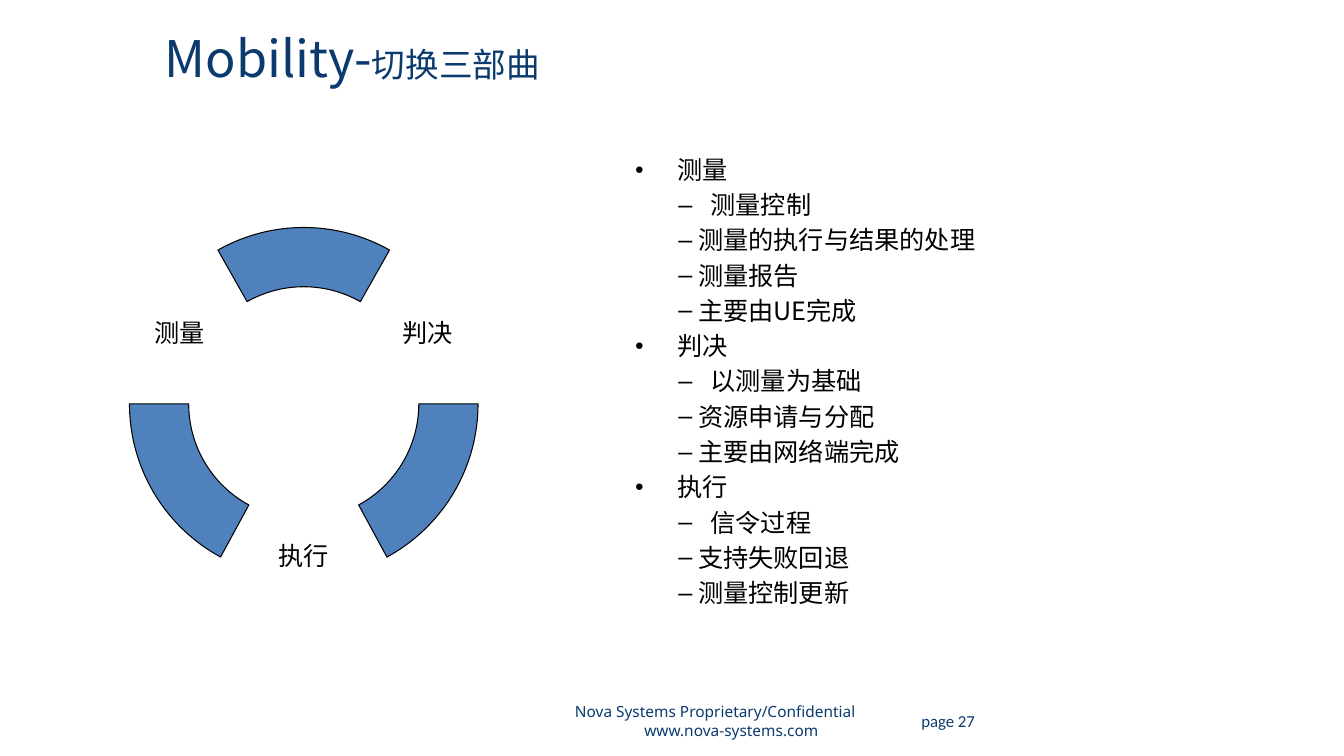
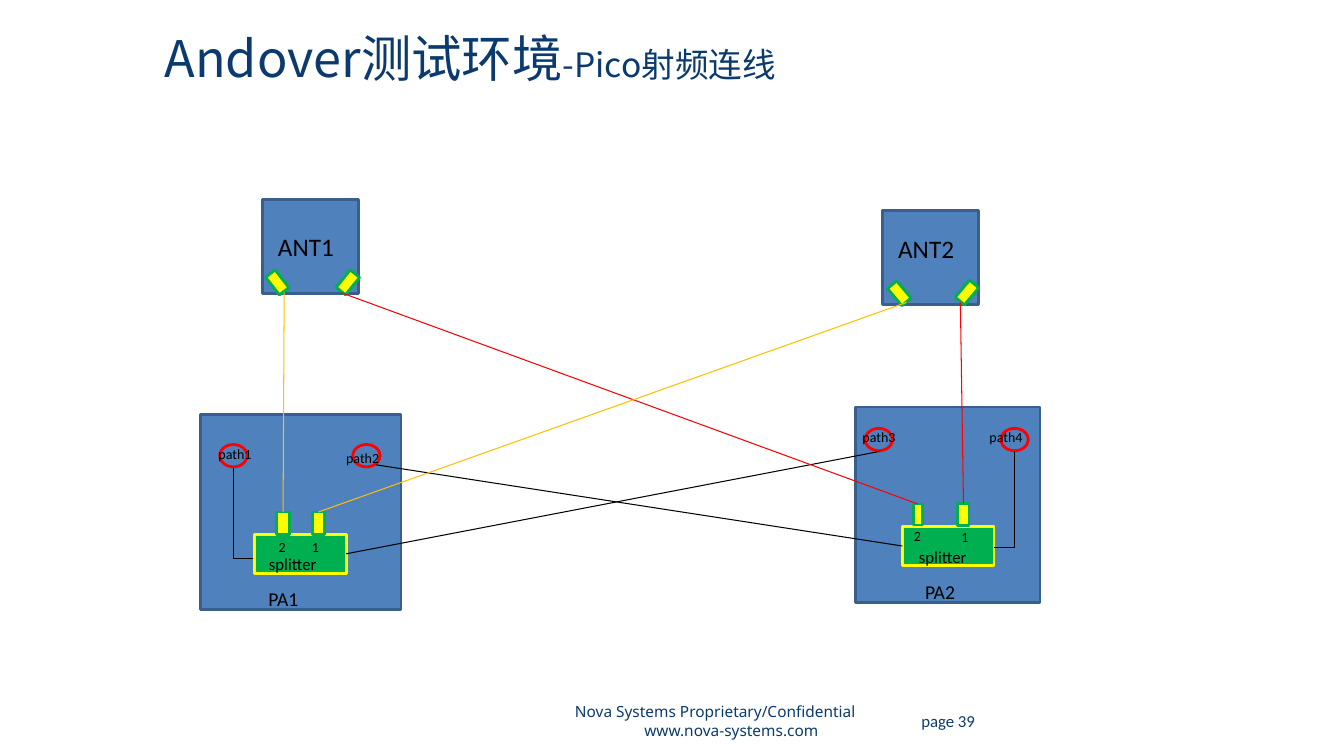
from lxml import etree
from pptx import Presentation
from pptx.dml.color import RGBColor
from pptx.enum import shapes, text
from pptx.oxml import ns
from pptx.util import Pt

NAVY, BLUE, EDGE, BLACK = "0A3A6E", "4F81BD", "3A5F8C", "000000"
RED, GREEN, YELLOW, ORANGE = "FF0000", "00B050", "FFFF00", "FFC000"
CJK_FONT = "Noto Sans CJK SC"
SHAPE, LINE = shapes.MSO_SHAPE, shapes.MSO_CONNECTOR
CENTER, LEFT = text.PP_ALIGN.CENTER, text.PP_ALIGN.LEFT
MIDDLE, TOP = text.MSO_ANCHOR.MIDDLE, text.MSO_ANCHOR.TOP


def add_text(page, bounds, paragraphs, font, color=BLACK, align=LEFT, anchor=TOP):
    """Add a text box; each paragraph is a list of (wording, size) spans."""
    box = page.shapes.add_textbox(*map(Pt, bounds))
    frame = box.text_frame
    frame.word_wrap = True
    frame.vertical_anchor = anchor
    for number, spans in enumerate(paragraphs):
        para = frame.add_paragraph() if number else frame.paragraphs[0]
        para.alignment = align
        for wording, size in spans:
            span = para.add_run()
            span.text = wording
            span.font.size = Pt(size)
            span.font.name = font
            span.font.color.rgb = RGBColor.from_string(color)
            east_asian = etree.SubElement(span._r.get_or_add_rPr(), ns.qn("a:ea"))
            east_asian.set("typeface", CJK_FONT)
    return frame


def paint(item, line_color, width, fill=None):
    """Colour a shape or a connector and take its shadow away."""
    item.line.color.rgb = RGBColor.from_string(line_color)
    item.line.width = Pt(width)
    if fill:
        item.shadow.inherit = False
        item.fill.solid()
        item.fill.fore_color.rgb = RGBColor.from_string(fill)
    else:
        etree.SubElement(item._element.spPr, ns.qn("a:effectLst"))


deck = Presentation()
deck.slide_width, deck.slide_height = Pt(960), Pt(540)

# Title and footer of every page
pages = []
for title, page_number in [
    ([("Mobility-", 36), ("切换三部曲", 24)], 27),
    ([("Andover测试环境", 36), ("-Pico射频连线", 24)], 39),
]:
    page = deck.slides.add_slide(deck.slide_layouts[6])
    add_text(page, (110.5, 1, 820, 80.5), [title], CJK_FONT, NAVY, anchor=MIDDLE)
    footer = add_text(
        page, (388, 500.5, 246, 29),
        [[("Nova Systems Proprietary/Confidential", 11)], [("www.nova-systems.com", 11)]],
        "Noto Sans", NAVY, CENTER, MIDDLE)
    footer.paragraphs[1]._p.get_or_add_pPr().set("marL", str(Pt(23)))
    add_text(page, (651, 500.5, 92, 29), [[(f"page {page_number}", 12)]],
             "Calibri", NAVY, anchor=MIDDLE)
    pages.append(page)
cycle_page, wiring_page = pages

# Cycle of three ring segments
center_x, radius = 217, 124.5
for start, end, center_y in [(240.5, 299.5, 287), (0, 61.5, 288.5), (118.5, 180, 288.5)]:
    arc = cycle_page.shapes.add_shape(
        SHAPE.BLOCK_ARC, Pt(center_x - radius), Pt(center_y - radius),
        Pt(2 * radius), Pt(2 * radius))
    # Angles count in 60000ths of a degree, adjustments in 100000ths
    arc.adjustments[0] = start * 0.6
    arc.adjustments[1] = end * 0.6
    arc.adjustments[2] = 0.17
    paint(arc, BLACK, 0.75, BLUE)
for label, x, y in [("测量", 128, 237.5), ("判决", 305.5, 237.5), ("执行", 217, 397)]:
    add_text(cycle_page, (x - 37, y - 20, 74, 40), [[(label, 18)]],
             "Arial", align=CENTER, anchor=MIDDLE)

# Outline of the three steps
steps = [
    ("测量", ["测量控制", "测量的执行与结果的处理", "测量报告", "主要由UE完成"]),
    ("判决", ["以测量为基础", "资源申请与分配", "主要由网络端完成"]),
    ("执行", ["信令过程", "支持失败回退", "测量控制更新"]),
]
outline = []  # wording, bullet, bullet size in percent, left margin, hanging
for step, details in steps:
    outline.append((step, "●", 60, 30.5, 30.5))
    for number, detail in enumerate(details):
        outline.append((detail, "–", 100, 45 if number else 54, 14 if number else 23))
body = add_text(cycle_page, (446.5, 106.5, 310, 349),
                [[(row[0], 18)] for row in outline], CJK_FONT)
for para, (_, bullet, percent, margin, hanging) in zip(body.paragraphs, outline):
    para.space_before = Pt(3.6)
    properties = para._p.get_or_add_pPr()
    properties.set("marL", str(Pt(margin)))
    properties.set("indent", str(-Pt(hanging)))
    for tag, key, value in [("a:buSzPct", "val", str(percent * 1000)),
                            ("a:buFont", "typeface", "Arial"),
                            ("a:buChar", "char", bullet)]:
        etree.SubElement(properties, ns.qn(tag)).set(key, value)

# Wiring: name, kind, left, top, width, height, rotation
styles = {
    "unit": (SHAPE.RECTANGLE, EDGE, BLUE),
    "path": (SHAPE.OVAL, RED, BLUE),
    "splitter": (SHAPE.RECTANGLE, YELLOW, GREEN),
    "port": (SHAPE.RECTANGLE, GREEN, YELLOW),
}
parts = {}
for name, kind, x, y, width, height, rotation in [
    ("PA1", "unit", 143.3, 296, 143.2, 139.5, 0),
    ("PA2", "unit", 611.3, 290.7, 131.6, 139.5, 0),
    ("path1", "path", 157, 317.5, 19.5, 16, 0),
    ("path2", "path", 252, 317.5, 19.5, 16, 0),
    ("path3", "path", 618, 306, 19.5, 16, 0),
    ("path4", "path", 715, 306, 19.5, 16, 0),
    ("splitter1", "splitter", 182, 381.6, 65.3, 28, 0),
    ("splitter2", "splitter", 644.5, 376, 65.5, 28, 0),
    ("splitter1 port2", "port", 197.8, 365.7, 8.8, 16, 0),
    ("splitter1 port1", "port", 223.2, 365.7, 8.6, 16, 0),
    ("splitter2 port2", "port", 652.4, 360, 6.5, 15, 0),
    ("splitter2 port1", "port", 684.2, 359.5, 8, 16, 0),
    ("ANT1", "unit", 187.4, 142.5, 68.5, 67, 0),
    ("ANT2", "unit", 630.2, 150.5, 68.5, 67, 0),
    ("ANT1 left", "port", 193.8, 193.7, 8.6, 16, 322),
    ("ANT1 right", "port", 244.2, 193.7, 8.6, 16, 39),
    ("ANT2 left", "port", 638, 201.5, 8.6, 16, 140),
    ("ANT2 right", "port", 686.4, 201, 8.6, 16, 40),
]:
    preset, edge, fill = styles[kind]
    part = wiring_page.shapes.add_shape(preset, Pt(x), Pt(y), Pt(width), Pt(height))
    part.rotation = rotation
    paint(part, edge, 2, fill)
    parts[name] = part

# Straight cables: start point, end part, connection site, colour
for x, y, target, site, color in [
    (628, 322.5, "splitter1", 3, BLACK),
    (268.5, 332, "splitter2", 1, BLACK),
    (203, 209, "splitter1 port2", 0, ORANGE),
    (243.5, 209, "splitter2 port2", 0, RED),
    (686, 216, "splitter2 port1", 0, RED),
    (647.5, 216, "splitter1 port1", 0, ORANGE),
]:
    cable = wiring_page.shapes.add_connector(LINE.STRAIGHT, Pt(x), Pt(y), Pt(x), Pt(y))
    cable.end_connect(parts[target], site)
    paint(cable, color, 0.75)

# Cables with one corner, from a splitter's side up to a path
for start_x, start_y, end_x, end_y in [(181, 399, 166.5, 334.5), (710, 391, 724.5, 322.5)]:
    cable = wiring_page.shapes.add_connector(
        LINE.ELBOW, Pt(start_x), Pt(start_y), Pt(end_x), Pt(end_y))
    paint(cable, BLACK, 0.75)
    corner = etree.SubElement(cable._element.find(".//" + ns.qn("a:avLst")), ns.qn("a:gd"))
    corner.set("name", "adj1")
    corner.set("fmla", "val 100000")

for label, size, x, y in [
    ("PA1", 14, 184.7, 416), ("PA2", 14, 653.7, 410.5),
    ("path1", 10, 149, 314.5), ("path2", 10, 240.2, 317.5),
    ("path3", 10, 609, 302.5), ("path4", 10, 699.7, 302.5),
    ("2", 10, 192, 381), ("1", 10, 215.7, 381),
    ("2", 10, 645.7, 373.5), ("1", 10, 679.7, 374),
    ("ANT1", 18, 191.5, 161.5), ("ANT2", 18, 634.5, 163),
    ("splitter", 12, 185, 392.2), ("splitter", 12, 649.3, 387),
]:
    add_text(wiring_page, (x, y, 64, size * 1.2 + 7.2), [[(label, size)]], "Calibri")

deck.save("out.pptx")
